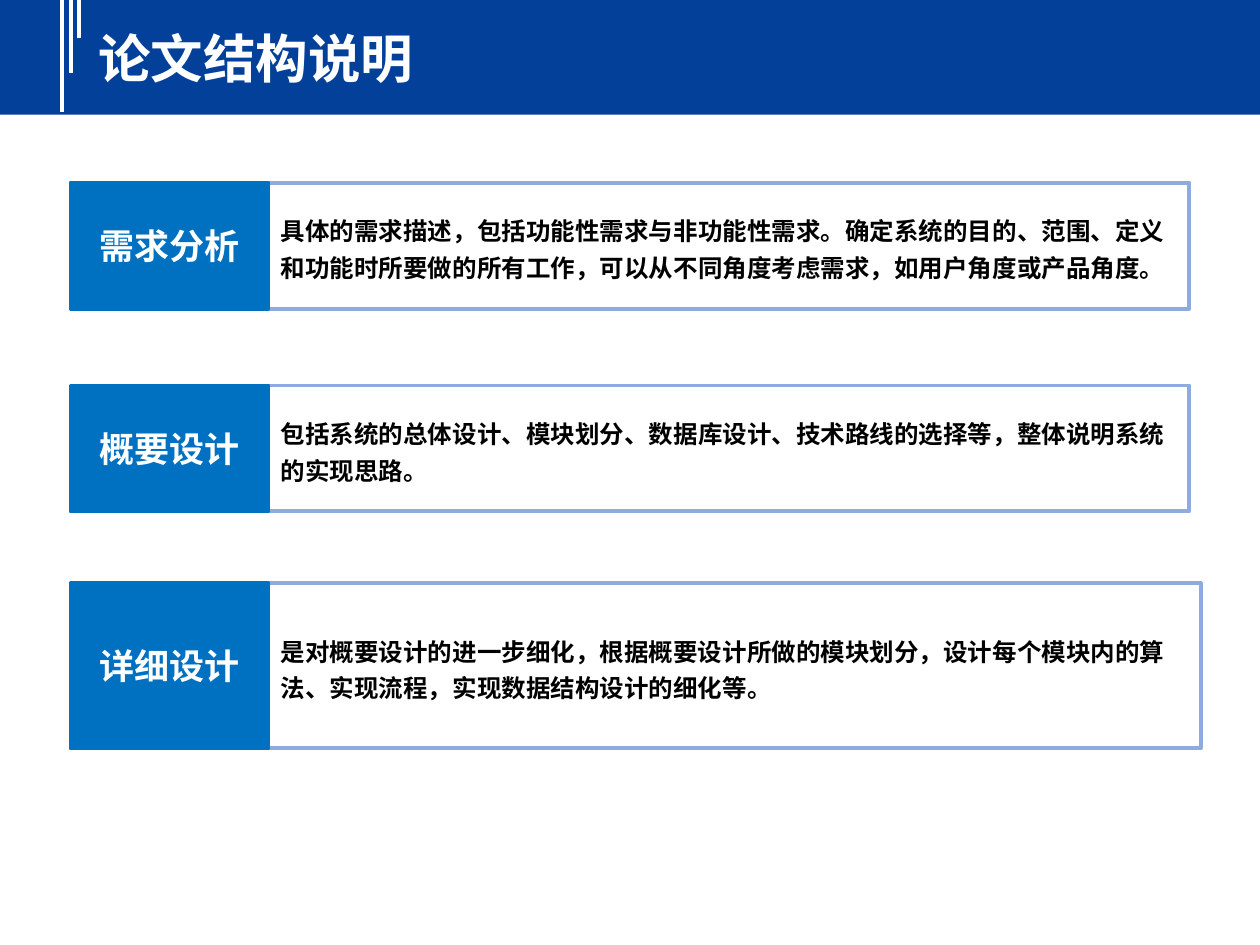
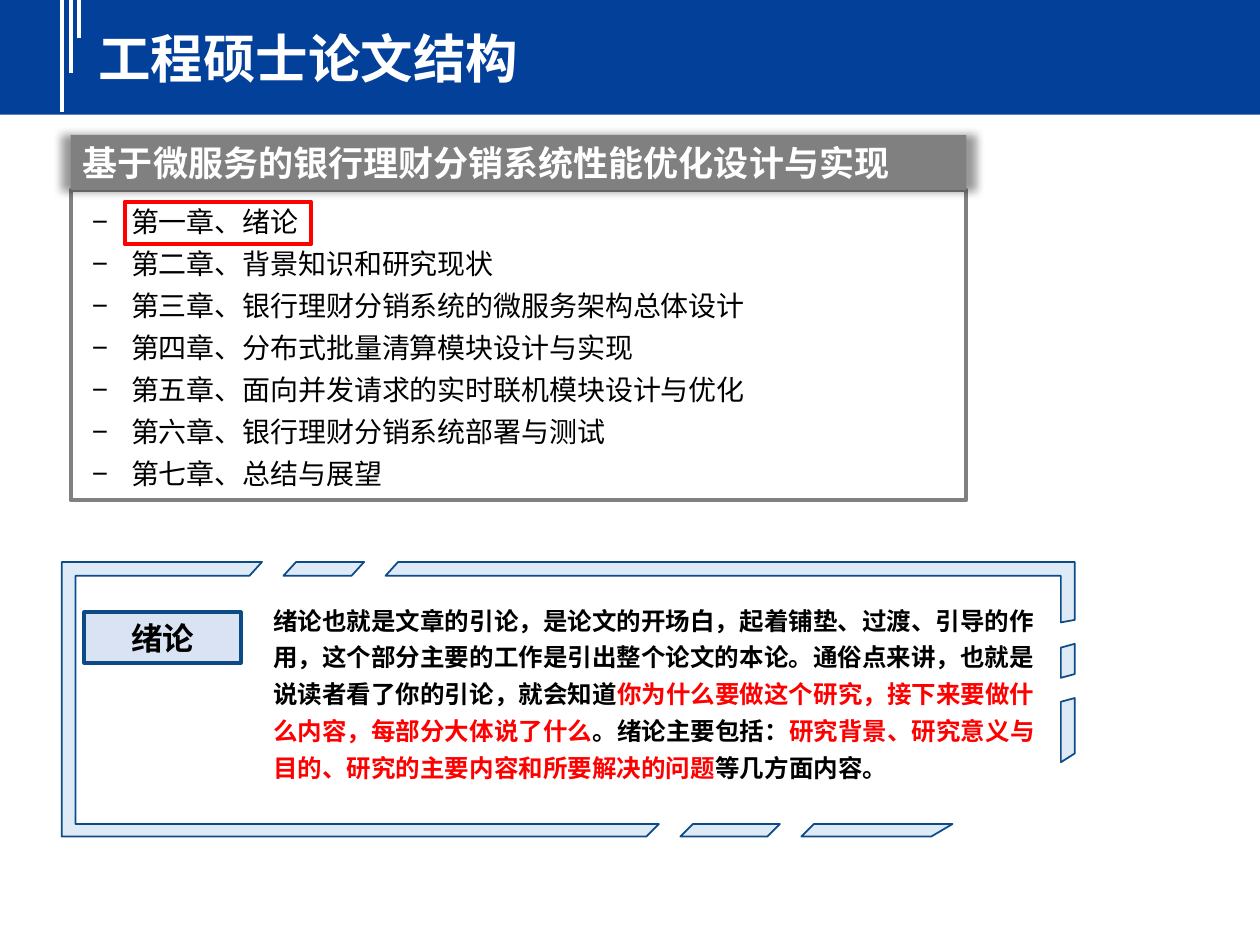
from dataclasses import dataclass

from lxml.etree import SubElement
from pptx import Presentation
from pptx.dml.color import RGBColor
from pptx.enum.shapes import MSO_CONNECTOR, MSO_SHAPE
from pptx.enum.text import MSO_ANCHOR, MSO_AUTO_SIZE, PP_ALIGN
from pptx.oxml.ns import qn
from pptx.util import Inches, Pt


@dataclass(frozen=True)
class Theme:
    font: str = "Noto Sans CJK SC"
    band: str = "02409A"
    white: str = "FFFFFF"
    black: str = "000000"
    label: str = "0070C0"
    card_edge: str = "8FAADC"
    grey: str = "808080"
    alert: str = "FF0000"
    navy: str = "0D4B87"
    tag: str = "DAE3F3"
    frame: str = "DEEBF7"
    title_size: int = 30
    heading_size: int = 20
    tag_size: int = 18
    list_size: int = 16
    text_size: int = 14
    rule: float = 2.25
    thin: float = 1
    spacing: float = 1.25


THEME = Theme()
TITLE_AND_BODY, TITLE_ONLY = 1, 5
BAND_TOP = -0.03
BAND_LINES = [(0.49, 0.89), (0.56, 0.58), (0.63, 0.3)]

LABEL_LEFT, LABEL_WIDTH = 0.56, 1.57
SECTIONS = [  # top, card width, height, label, description
    (1.45, 7.31, 1, "需求分析",
     "具体的需求描述，包括功能性需求与非功能性需求。确定系统的目的、范围、定义"
     "和功能时所要做的所有工作，可以从不同角度考虑需求，如用户角度或产品角度。"),
    (3.06, 7.31, 1, "概要设计",
     "包括系统的总体设计、模块划分、数据库设计、技术路线的选择等，整体说明系统的实现思路。"),
    (4.63, 7.4, 1.31, "详细设计",
     "是对概要设计的进一步细化，根据概要设计所做的模块划分，设计每个模块内的算法、"
     "实现流程，实现数据结构设计的细化等。"),
]

CHAPTERS = [
    "第一章、绪论",
    "第二章、背景知识和研究现状",
    "第三章、银行理财分销系统的微服务架构总体设计",
    "第四章、分布式批量清算模块设计与实现",
    "第五章、面向并发请求的实时联机模块设计与优化",
    "第六章、银行理财分销系统部署与测试",
    "第七章、总结与展望",
]
INTRODUCTION = [
    ("绪论也就是文章的引论，是论文的开场白，起着铺垫、过渡、引导的作用，"
     "这个部分主要的工作是引出整个论文的本论。通俗点来讲，也就是说读者看了你的引论，就会知道", THEME.black),
    ("你为什么要做这个研究，接下来要做什么内容，每部分大体说了什么", THEME.alert),
    ("。绪论主要包括：", THEME.black),
    ("研究背景、研究意义与目的、研究的主要内容和所要解决的问题", THEME.alert),
    ("等几方面内容。", THEME.black),
]
FRAME_PIECES = [  # corner points in hundredths of an inch
    [(646, 654), (756, 654), (739, 664), (636, 664)],
    [(550, 654), (619, 654), (609, 664), (540, 664)],
    [(853, 554), (853, 598), (842, 605), (842, 557)],
    [(853, 511), (853, 535), (842, 538), (842, 514)],
    [(316, 446), (853, 446), (853, 492), (842, 494), (842, 457), (306, 457)],
    [(235, 446), (289, 446), (279, 457), (225, 457)],
    [(49, 446), (208, 446), (198, 457), (60, 457), (60, 654),
     (523, 654), (513, 664), (49, 664)],
]


class SlideBuilder:
    def __init__(self, deck, theme):
        self.deck = deck
        self.theme = theme
        self.page = None

    def start(self, title, layout):
        """Add a slide with the shared title band."""
        self.page = self.deck.slides.add_slide(self.deck.slide_layouts[layout])
        self.box(0, BAND_TOP, 10, 0.94, fill=self.theme.band)
        for x, bottom in BAND_LINES:
            self.line(x, BAND_TOP, x, bottom)
        holder = self.place(self.page.shapes.title, 0.68, 0.16, 9.12, 0.6)
        self.set_text(holder, [title], self.theme.title_size, self.theme.white, bold=True)

    def place(self, holder, left, top, width, height):
        """Move a placeholder and bring it in front of what is drawn so far."""
        holder.left, holder.top = Inches(left), Inches(top)
        holder.width, holder.height = Inches(width), Inches(height)
        self.page.shapes.element.append(holder.element)
        return holder

    def paint(self, shape, fill=None, edge=None, weight=None):
        if fill:
            shape.fill.solid()
            shape.fill.fore_color.rgb = RGBColor.from_string(fill)
        else:
            shape.fill.background()
        if edge:
            shape.line.color.rgb = RGBColor.from_string(edge)
            shape.line.width = Pt(weight or self.theme.rule)
        else:
            shape.line.fill.background()

    def box(self, left, top, width, height, fill=None, edge=None):
        shape = self.page.shapes.add_shape(
            MSO_SHAPE.RECTANGLE, Inches(left), Inches(top), Inches(width), Inches(height))
        shape.shadow.inherit = False
        self.paint(shape, fill, edge)
        return shape

    def line(self, x1, y1, x2, y2):
        line = self.page.shapes.add_connector(
            MSO_CONNECTOR.STRAIGHT, Inches(x1), Inches(y1), Inches(x2), Inches(y2))
        line.line.color.rgb = RGBColor.from_string(self.theme.white)
        line.line.width = Pt(self.theme.rule)
        SubElement(line.element.spPr, qn("a:effectLst"))

    def text(self, left, top, width, height):
        return self.page.shapes.add_textbox(
            Inches(left), Inches(top), Inches(width), Inches(height))

    def halo(self, shape):
        """Give a shape a soft shadow on all sides."""
        effects = shape.element.spPr.find(qn("a:effectLst"))
        shadow = SubElement(effects, qn("a:outerShdw"), blurRad=str(Inches(0.07)),
                            sx="102000", sy="102000", algn="ctr", rotWithShape="0")
        color = SubElement(shadow, qn("a:prstClr"), val="black")
        SubElement(color, qn("a:alpha"), val="40000")

    def pieces(self, outlines, fill, edge):
        """Draw several closed outlines as one shape."""
        (first, *others) = outlines
        builder = self.page.shapes.build_freeform(*first[0], scale=Inches(0.01))
        builder.add_line_segments(first[1:], close=True)
        for outline in others:
            builder.move_to(*outline[0])
            builder.add_line_segments(outline[1:], close=True)
        shape = builder.convert_to_shape()
        shape.shadow.inherit = False
        self.paint(shape, fill, edge, self.theme.thin)

    def set_text(self, shape, lines, size, color, bold=False, align=PP_ALIGN.LEFT,
                 anchor=MSO_ANCHOR.MIDDLE, spacing=1.0, bullet=None):
        """Fill a shape; a line is a string or a list of (text, color) spans."""
        frame = shape.text_frame
        frame.word_wrap = True
        frame.auto_size = MSO_AUTO_SIZE.NONE
        frame.vertical_anchor = anchor
        for index, line in enumerate(lines):
            para = frame.add_paragraph() if index else frame.paragraphs[0]
            para.alignment = align
            para.line_spacing = spacing
            para.space_before = Pt(0)
            if bullet:
                self.bullet(para, bullet)
            para.font.size = Pt(size)
            para.font.bold = bold
            para.font.color.rgb = RGBColor.from_string(color)
            para.font.name = self.theme.font
            defaults = para._p.pPr.find(qn("a:defRPr"))
            SubElement(defaults, qn("a:ea"), typeface=self.theme.font)
            for words, tint in [(line, None)] if isinstance(line, str) else line:
                span = para.add_run()
                span.text = words
                if tint:
                    span.font.color.rgb = RGBColor.from_string(tint)

    def bullet(self, para, mark):
        properties = para._p.get_or_add_pPr()
        properties.set("marL", str(Inches(0.38)))
        properties.set("indent", str(Inches(-0.31)))
        SubElement(properties, qn("a:buChar"), char=mark)


def build_sections(slide):
    theme = slide.theme
    slide.start("论文结构说明", TITLE_ONLY)
    for top, width, height, label, description in SECTIONS:
        card = slide.box(LABEL_LEFT + LABEL_WIDTH, top, width, height,
                         theme.white, theme.card_edge)
        slide.set_text(card, [description], theme.text_size, theme.black,
                       bold=True, spacing=theme.spacing)
        tab = slide.box(LABEL_LEFT, top, LABEL_WIDTH, height, theme.label, theme.label)
        slide.set_text(tab, [label], theme.heading_size, theme.white,
                       bold=True, align=PP_ALIGN.CENTER)


def build_outline(slide):
    theme = slide.theme
    slide.start("工程硕士论文结构", TITLE_AND_BODY)

    chapters = slide.place(slide.page.placeholders[1], 0.56, 1.51, 7.11, 2.46)
    slide.paint(chapters, edge=theme.grey)
    slide.set_text(chapters, CHAPTERS, theme.list_size, theme.black, align=PP_ALIGN.JUSTIFY,
                   anchor=MSO_ANCHOR.TOP, spacing=theme.spacing, bullet="−")
    heading = slide.box(0.56, 1.07, 7.11, 0.44, theme.grey)
    slide.halo(heading)
    slide.set_text(heading, ["基于微服务的银行理财分销系统性能优化设计与实现"],
                   theme.heading_size, theme.white, bold=True)
    slide.box(0.99, 1.6, 1.48, 0.34, edge=theme.alert)

    tag = slide.box(0.67, 4.86, 1.24, 0.4, theme.tag, theme.navy)
    slide.set_text(tag, ["绪论"], theme.tag_size, theme.black, bold=True,
                   align=PP_ALIGN.CENTER)
    introduction = slide.text(2.07, 4.7, 6.3, 1.57)
    slide.set_text(introduction, [INTRODUCTION], theme.text_size, theme.black, bold=True,
                   anchor=MSO_ANCHOR.TOP, spacing=theme.spacing)
    slide.pieces(FRAME_PIECES, theme.frame, theme.navy)


def main():
    deck = Presentation()
    deck.slide_width, deck.slide_height = Inches(10), Inches(7.5)
    slide = SlideBuilder(deck, THEME)
    build_sections(slide)
    build_outline(slide)
    deck.save("out.pptx")


if __name__ == "__main__":
    main()
